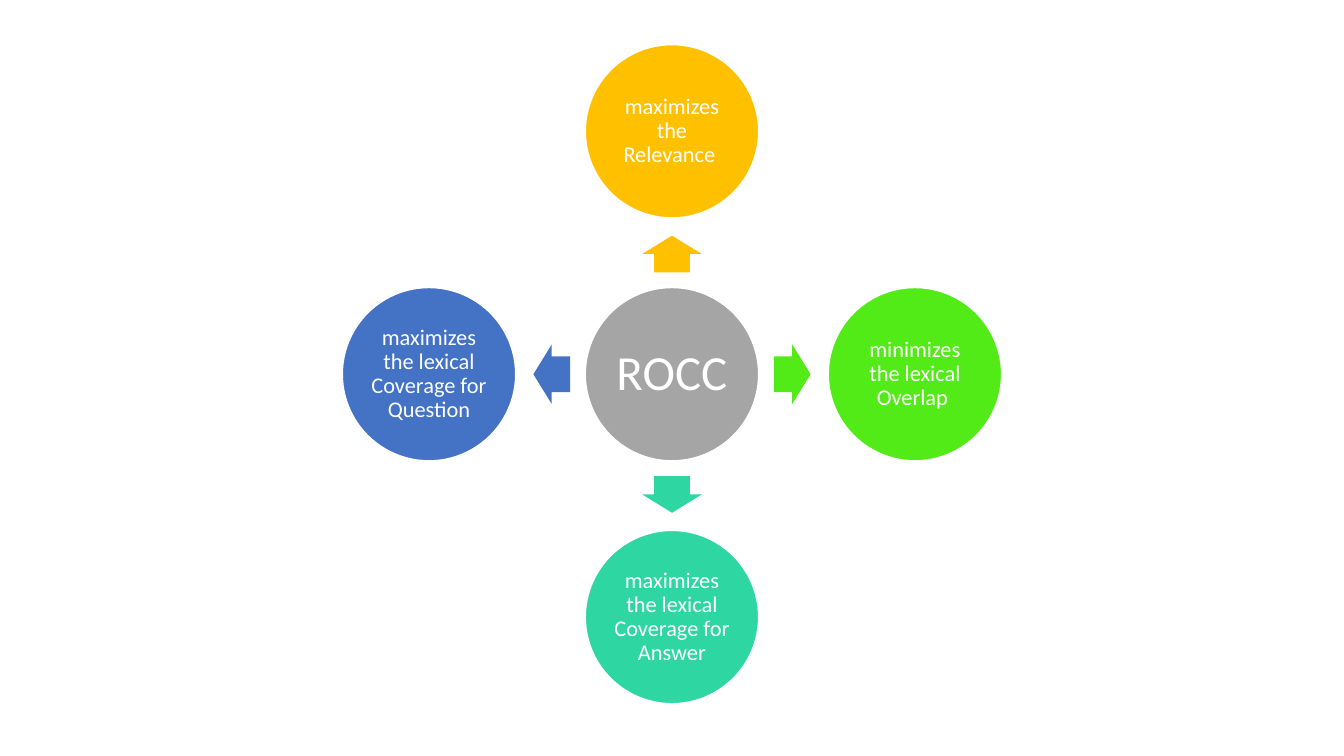
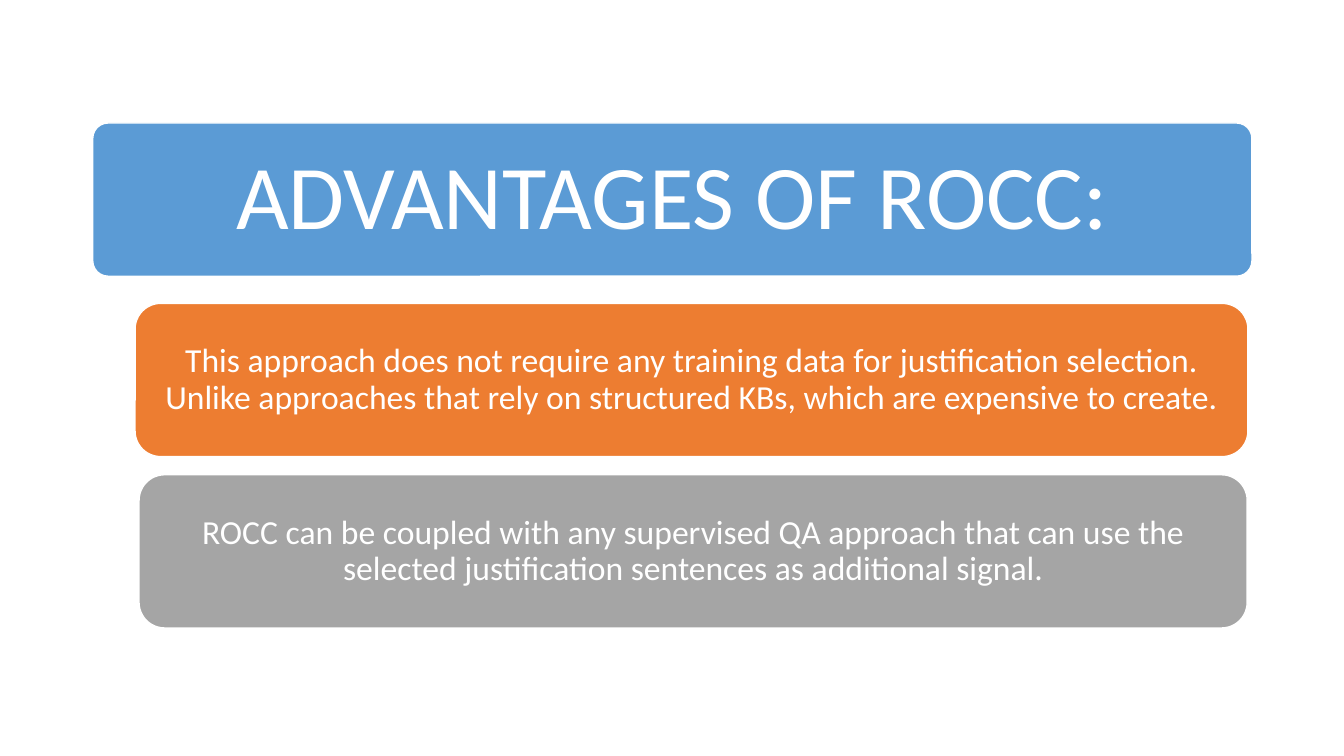
from dataclasses import dataclass

from pptx import Presentation
from pptx import util as u
from pptx.dml.color import RGBColor
from pptx.enum import shapes, text

COLORS = {
    "white": "FFFFFF", "gray": "A5A5A5", "gold": "FFC000", "lime": "53EB17",
    "teal": "2ED7A1", "blue": "4472C4", "sky": "5B9BD5", "orange": "ED7D31",
}
FONT = "Calibri"
SHAPE = shapes.MSO_SHAPE
W, H = u.Inches(13.33), u.Inches(7.5)

# Radial diagram, in percent of the slide height
HUB_Y, PITCH, DIAMETER = 49.5, 32.13, 22.93
ARROW_W, ARROW_H = 4.85, 7.87
ARROW_SHARE = 0.495  # arrow position between hub and spoke

# Bars, in percent of the slide height
BAR_H = 20.27


@dataclass(frozen=True)
class Spoke:
    col: int
    row: int
    angle: int
    color: str
    label: str


@dataclass(frozen=True)
class Bar:
    left: float  # percent of the slide width
    width: float
    top: float  # percent of the slide height
    color: str
    label: str
    size: int
    radius: float
    margins: tuple[float, float]  # horizontal, vertical, inches


SPOKES = [
    Spoke(0, -1, 270, "gold", "maximizes the Relevance "),
    Spoke(1, 0, 0, "lime", "minimizes the lexical Overlap "),
    Spoke(0, 1, 90, "teal", "maximizes the lexical Coverage for Answer"),
    Spoke(-1, 0, 180, "blue", "maximizes the lexical Coverage for Question"),
]

BARS = [
    Bar(6.9, 86.25, 16.27, "sky", "ADVANTAGES OF ROCC:", 65, 0.1, (0.14, 0.09)),
    Bar(10.05, 82.8, 40.13, "orange",
        "This approach does not require any training data for justification "
        "selection. Unlike approaches that rely on structured KBs, which are "
        "expensive to create.", 24, 0.167, (0.19, 0.19)),
    Bar(10.35, 82.45, 62.8, "gray",
        "ROCC can be coupled with any supervised QA approach that can use the "
        "selected justification sentences as additional signal.",
        24, 0.167, (0.19, 0.19)),
]


def rgb(name: str) -> RGBColor:
    return RGBColor.from_string(COLORS[name])


def pct(share: float, whole: int) -> int:
    return round(share / 100 * whole)


def add_block(s, kind, box: tuple[int, int, int, int], color: str, adj=()):
    """Flat filled shape without outline or shadow."""
    sp = s.shapes.add_shape(kind, *box)
    sp.shadow.inherit = False
    sp.fill.solid()
    sp.fill.fore_color.rgb = rgb(color)
    sp.line.fill.background()
    for i, value in enumerate(adj):
        sp.adjustments[i] = value
    return sp


def add_label(sp, label: str, size: int, margins: tuple[float, float]) -> None:
    """White centred text inside a white-outlined shape."""
    sp.line.color.rgb = rgb("white")
    sp.line.width = u.Pt(1)
    tf = sp.text_frame
    tf.text = label
    tf.word_wrap = True
    tf.vertical_anchor = text.MSO_ANCHOR.MIDDLE
    tf.margin_left = tf.margin_right = u.Inches(margins[0])
    tf.margin_top = tf.margin_bottom = u.Inches(margins[1])
    p = tf.paragraphs[0]
    p.alignment = text.PP_ALIGN.CENTER
    p.line_spacing = 0.9
    font = p.runs[0].font
    font.name, font.size = FONT, u.Pt(size)
    font.color.rgb = rgb("white")


def radial_box(col: float, row: float, w: float, h: float) -> tuple[int, int, int, int]:
    """Box centred on a cell of the grid around the hub."""
    bw, bh, pitch = pct(w, H), pct(h, H), pct(PITCH, H)
    x = W / 2 + col * pitch - bw / 2
    y = pct(HUB_Y, H) + row * pitch - bh / 2
    return round(x), round(y), bw, bh


def add_circle(s, col: int, row: int, color: str, label: str, size: int, margin: float) -> None:
    box = radial_box(col, row, DIAMETER, DIAMETER)
    add_label(add_block(s, SHAPE.OVAL, box, color), label, size, (margin, margin))


def build_radial(prs) -> None:
    s = prs.slides.add_slide(prs.slide_layouts[6])
    add_circle(s, 0, 0, "gray", "ROCC", 35, 0.05)
    for spoke in SPOKES:
        box = radial_box(spoke.col * ARROW_SHARE, spoke.row * ARROW_SHARE, ARROW_W, ARROW_H)
        arrow = add_block(s, SHAPE.RIGHT_ARROW, box, spoke.color, (0.6, 0.5))
        arrow.rotation = spoke.angle
        add_circle(s, spoke.col, spoke.row, spoke.color, spoke.label, 16, 0.02)


def build_advantages(prs) -> None:
    s = prs.slides.add_slide(prs.slide_layouts[6])
    for bar in BARS:
        box = pct(bar.left, W), pct(bar.top, H), pct(bar.width, W), pct(BAR_H, H)
        sp = add_block(s, SHAPE.ROUNDED_RECTANGLE, box, bar.color, (bar.radius,))
        add_label(sp, bar.label, bar.size, bar.margins)


def main() -> None:
    prs = Presentation()
    prs.slide_width, prs.slide_height = W, H
    build_radial(prs)
    build_advantages(prs)
    prs.save("out.pptx")


if __name__ == "__main__":
    main()
